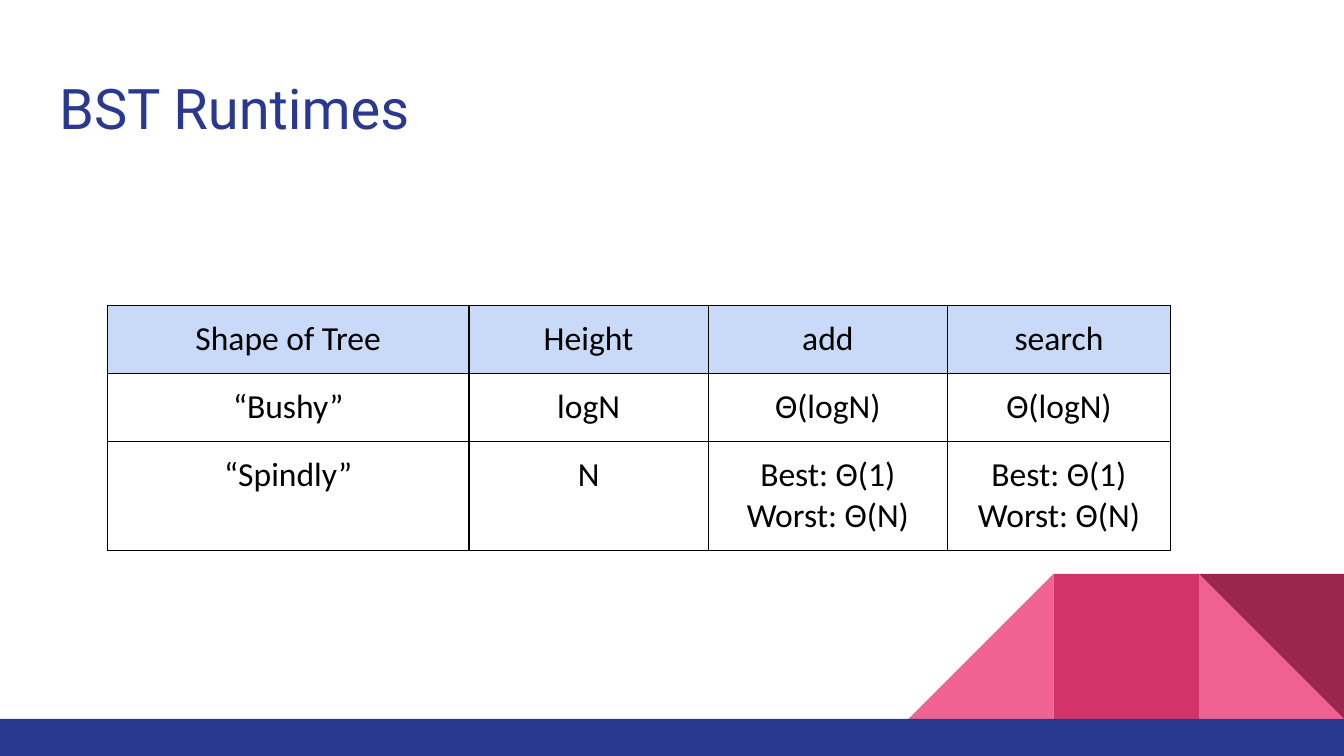
"""Build the slide that compares binary search tree runtimes."""
import dataclasses
import typing

import lxml.etree
import pptx
import pptx.dml.color
import pptx.enum.shapes
import pptx.enum.text
import pptx.oxml.ns
import pptx.util

SLIDE_WIDTH = pptx.util.Inches(10)
SLIDE_HEIGHT = SLIDE_WIDTH * 9 // 16
TILE = 0.108
BAND_TOP = 0.951
MARGIN = pptx.util.Inches(0.1)
NAVY, BLACK, HEADER_BLUE = "2A3990", "000000", "C9DAF8"
PINK, ROSE, MAROON = "F06292", "D23369", "9C254D"
RECTANGLE = pptx.enum.shapes.MSO_SHAPE.RECTANGLE
TRIANGLE = pptx.enum.shapes.MSO_SHAPE.RIGHT_TRIANGLE
ALIGN = pptx.enum.text.PP_ALIGN

COLUMN_SHARES = (0.269, 0.178, 0.178, 0.166)
ROW_SHARES = (0.09, 0.09, 0.143)
RUNTIMES = (
    ("Shape of Tree", "Height", "add", "search"),
    ("“Bushy”", "logN", "Θ(logN)", "Θ(logN)"),
    ("“Spindly”", "N", "Best: Θ(1)\nWorst: Θ(N)", "Best: Θ(1)\nWorst: Θ(N)"),
)


@dataclasses.dataclass(frozen=True)
class Tile:
    """One corner tile, placed by its column counted from the right edge."""

    column: int
    kind: pptx.enum.shapes.MSO_SHAPE
    colour: str
    rotation: int = 0
    mirrored: bool = False


TILES = (
    Tile(1, TRIANGLE, PINK),
    Tile(3, TRIANGLE, PINK, mirrored=True),
    Tile(2, RECTANGLE, ROSE),
    Tile(1, TRIANGLE, MAROON, rotation=180),
)


def across(share: float) -> int:
    """Return a share of the slide width."""
    return round(SLIDE_WIDTH * share)


def down(share: float) -> int:
    """Return a share of the slide height."""
    return round(SLIDE_HEIGHT * share)


def rgb(colour: str) -> pptx.dml.color.RGBColor:
    """Turn a hex string into a colour."""
    return pptx.dml.color.RGBColor.from_string(colour)


def write_text(frame: typing.Any, text: str, *, font: str, size: float,
               colour: str, align: ALIGN) -> None:
    """Fill a text frame with one formatted paragraph per line."""
    frame.text = text
    for paragraph in frame.paragraphs:
        paragraph.alignment = align
        paragraph.font.name = font
        paragraph.font.size = pptx.util.Pt(size)
        paragraph.font.color.rgb = rgb(colour)


def set_margins(holder: typing.Any) -> None:
    """Give a cell or text frame equal margins."""
    holder.margin_left = holder.margin_right = MARGIN
    holder.margin_top = holder.margin_bottom = MARGIN


def draw_block(slide: typing.Any, kind: pptx.enum.shapes.MSO_SHAPE,
               left: int, top: int, width: int, height: int, colour: str) -> typing.Any:
    """Draw a plain filled shape without outline or shadow."""
    block = slide.shapes.add_shape(kind, left, top, width, height)
    block.shadow.inherit = False
    block.fill.solid()
    block.fill.fore_color.rgb = rgb(colour)
    block.line.fill.background()
    return block


def draw_tile(slide: typing.Any, tile: Tile) -> None:
    """Draw one square corner tile standing on the bottom band."""
    side = across(TILE)
    block = draw_block(slide, tile.kind, SLIDE_WIDTH - tile.column * side,
                       down(BAND_TOP) - side, side, side, tile.colour)
    block.rotation = tile.rotation
    if tile.mirrored:
        block.element.spPr.xfrm.set("flipH", "1")


def draw_title(slide: typing.Any) -> None:
    """Place and format the title placeholder."""
    title = slide.shapes.title
    title.left, title.top = across(0.034), down(0.08)
    title.width, title.height = across(0.932), down(0.117)
    frame = title.text_frame
    frame.word_wrap = True
    frame.auto_size = pptx.enum.text.MSO_AUTO_SIZE.NONE
    frame.vertical_anchor = pptx.enum.text.MSO_ANCHOR.TOP
    set_margins(frame)
    write_text(frame, "BST Runtimes", font="Roboto", size=30, colour=NAVY, align=ALIGN.LEFT)


def outline_cell(cell: typing.Any) -> None:
    """Draw a thin black border on every side of a cell."""
    qn = pptx.oxml.ns.qn
    properties = cell._tc.get_or_add_tcPr()
    for side in ("a:lnL", "a:lnR", "a:lnT", "a:lnB"):
        border = lxml.etree.SubElement(properties, qn(side), w=str(pptx.util.Pt(0.75)))
        fill = lxml.etree.SubElement(border, qn("a:solidFill"))
        lxml.etree.SubElement(fill, qn("a:srgbClr"), val=BLACK)


def draw_runtimes(slide: typing.Any) -> None:
    """Draw the table of runtimes by tree shape."""
    table = slide.shapes.add_table(
        len(ROW_SHARES), len(COLUMN_SHARES), across(0.08), down(0.404),
        across(sum(COLUMN_SHARES)), down(sum(ROW_SHARES))).table
    table.first_row = table.horz_banding = False
    for column, share in zip(table.columns, COLUMN_SHARES):
        column.width = across(share)
    for row, share, texts in zip(table.rows, ROW_SHARES, RUNTIMES):
        row.height = down(share)
        for cell, text in zip(row.cells, texts):
            set_margins(cell)
            outline_cell(cell)
            if texts is RUNTIMES[0]:
                cell.fill.solid()
                cell.fill.fore_color.rgb = rgb(HEADER_BLUE)
            else:
                cell.fill.background()
            write_text(cell.text_frame, text, font="Calibri", size=18,
                       colour=BLACK, align=ALIGN.CENTER)


def main() -> None:
    """Build and save the presentation."""
    deck = pptx.Presentation()
    deck.slide_width, deck.slide_height = SLIDE_WIDTH, SLIDE_HEIGHT
    slide = deck.slides.add_slide(deck.slide_layouts.get_by_name("Title Only"))
    for tile in TILES:
        draw_tile(slide, tile)
    draw_block(slide, RECTANGLE, 0, down(BAND_TOP), SLIDE_WIDTH, down(1 - BAND_TOP), NAVY)
    draw_title(slide)
    draw_runtimes(slide)
    deck.save("out.pptx")


if __name__ == "__main__":
    main()
